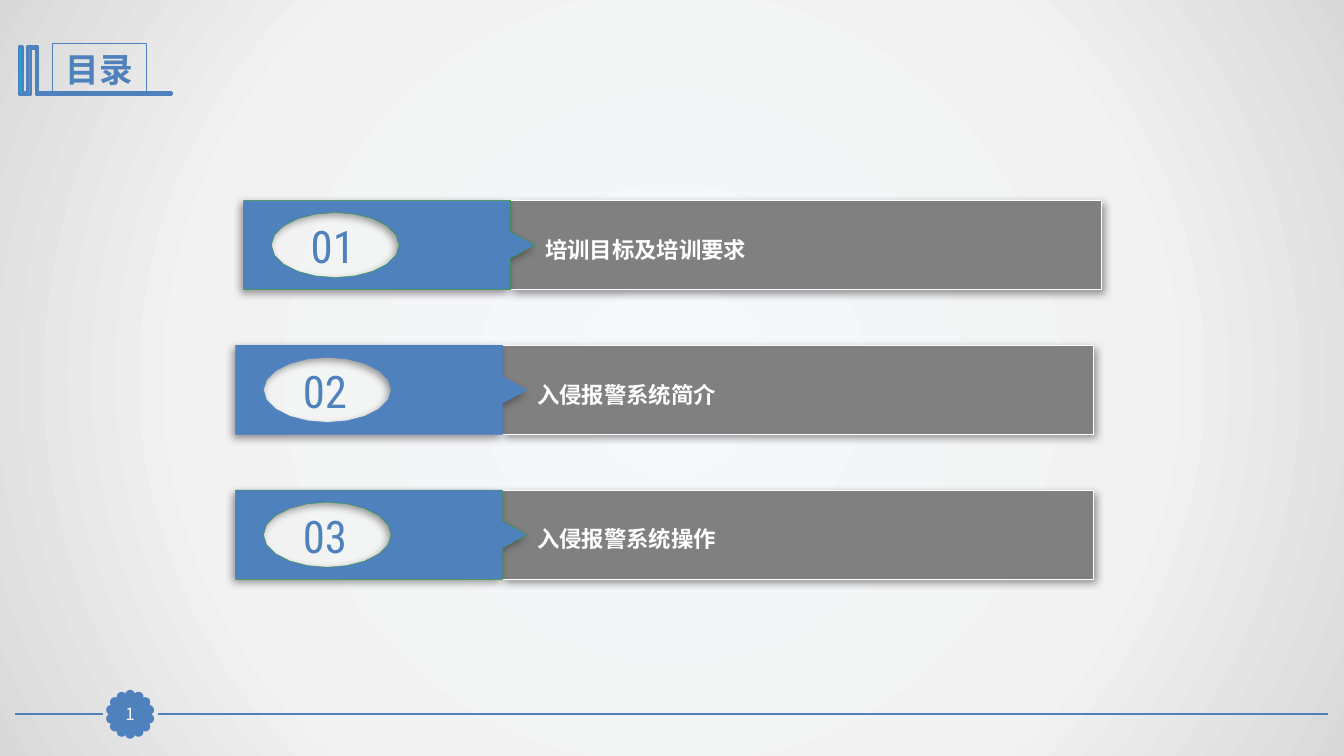
from dataclasses import dataclass
from math import cos, pi, sin

from lxml.etree import SubElement
from pptx import Presentation
from pptx.dml.color import RGBColor
from pptx.enum.shapes import MSO_CONNECTOR as Connector, MSO_SHAPE as Preset
from pptx.enum.text import MSO_ANCHOR as Anchor, PP_ALIGN as Align
from pptx.oxml.ns import qn
from pptx.util import Cm, Pt


@dataclass(frozen=True)
class Theme:
    blue: str = "4F81BD"
    cyan: str = "28A9D6"
    green: str = "339933"
    gray: str = "808080"
    white: str = "FFFFFF"
    shadow: str = "000000"
    backdrop: tuple = ((0, "F6F9FC"), (63, "F2F2F2"), (100, "D9D9D9"))
    number_font: str = "Roboto Condensed"
    caption_font: str = "Roboto"
    page_font: str = "Noto Sans CJK SC"
    number_size: int = 32
    title_size: int = 24
    caption_size: int = 16
    page_size: int = 12


THEME = Theme()


def rgb(color):
    return RGBColor.from_string(color)


def paint(shape, fill, line, weight):
    if fill:
        shape.fill.solid()
        shape.fill.fore_color.rgb = rgb(fill)
    else:
        shape.fill.background()
    shape.line.color.rgb = rgb(line)
    shape.line.width = Pt(weight)
    shape.shadow.inherit = False
    return shape


def drop_shadow(shape, angle):
    effects = shape._element.spPr.find(qn("a:effectLst"))
    outer = SubElement(effects, qn("a:outerShdw"), blurRad=str(Pt(6)), dist=str(Pt(3)),
                       dir=str(angle * 60000), algn="ctr", rotWithShape="0")
    color = SubElement(outer, qn("a:srgbClr"), val=THEME.shadow)
    SubElement(color, qn("a:alpha"), val="40000")


def write(shape, text, font, size, color, bold=False, align=Align.CENTER, inset=None):
    frame = shape.text_frame
    frame.text = text
    frame.word_wrap = True
    frame.vertical_anchor = Anchor.MIDDLE
    if inset is not None:
        frame.margin_left = frame.margin_right = Cm(inset)
        frame.margin_top = frame.margin_bottom = Cm(inset)
    paragraph = frame.paragraphs[0]
    paragraph.alignment = align
    style = paragraph.runs[0].font
    style.name, style.size, style.bold = font, Pt(size), bold
    style.color.rgb = rgb(color)


def add_outline(shapes, left, top, *contours):
    """Draw closed contours, given in cm from left and top, as one freeform."""
    placed = [[(Cm(left + x), Cm(top + y)) for x, y in contour] for contour in contours]
    first, *others = placed
    builder = shapes.build_freeform(*first[0])
    builder.add_line_segments(first[1:])
    for contour in others:
        builder.move_to(*contour[0])
        builder.add_line_segments(contour[1:])
    return builder.convert_to_shape()


def add_backdrop(slide):
    slide.background.fill.gradient()
    gradient = slide.element.xpath(".//a:gradFill")[0]
    for part in list(gradient):
        gradient.remove(part)
    stops = SubElement(gradient, qn("a:gsLst"))
    for position, color in THEME.backdrop:
        stop = SubElement(stops, qn("a:gs"), pos=str(position * 1000))
        SubElement(stop, qn("a:srgbClr"), val=color)
    circle = SubElement(gradient, qn("a:path"), path="circle")
    SubElement(circle, qn("a:fillToRect"), l="50000", t="50000", r="50000", b="50000")


def add_header(slide, left, top, title):
    # Folded ribbon running on into the underline
    ribbon = [(0.46, 0), (0.48, 0), (0.48, 1.17), (3.85, 1.17), (3.85, 1.21), (0.43, 1.21),
              (0.43, 0.05), (0.3, 0.05), (0.3, 1.21), (0, 1.21), (0, 0), (0.08, 0),
              (0.08, 1.15), (0.22, 1.15), (0.22, 0)]
    paint(add_outline(slide.shapes, left, top, ribbon), THEME.cyan, THEME.blue, 2)
    # Framed title
    frame = slide.shapes.add_shape(Preset.RECTANGLE, Cm(left + 0.84), Cm(top - 0.08),
                                   Cm(2.38), Cm(1.29))
    paint(frame, None, THEME.blue, 0.75)
    write(frame, title, THEME.number_font, THEME.title_size, THEME.blue, bold=True)


def add_agenda_row(slide, left, top, number, caption, edge):
    shapes = slide.shapes.add_group_shape().shapes
    height = 2.25
    # Gray bar
    bar = shapes.add_shape(Preset.RECTANGLE, Cm(left + 6.69), Cm(top), Cm(14.92), Cm(height))
    drop_shadow(paint(bar, THEME.gray, THEME.white, 0.25), 45)
    # Blue tab with a pointer and an oval window
    turns = [2 * pi * step / 20 for step in range(20)]
    window = [(2.31 + 1.61 * cos(turn), height / 2 + 0.82 * sin(turn)) for turn in turns]
    tab = [(0, 0), (6.73, 0), (6.73, 0.79), (7.35, height / 2), (6.73, 1.46),
           (6.73, height), (0, height)]
    drop_shadow(paint(add_outline(shapes, left, top, window, tab), THEME.blue, edge, 0.25), 135)
    # Number and caption
    label = shapes.add_textbox(Cm(left + 1), Cm(top + 0.34), Cm(2.5), Cm(1.62))
    write(label, number, THEME.number_font, THEME.number_size, THEME.blue)
    words = shapes.add_textbox(Cm(left + 7.35), Cm(top + 0.76), Cm(14.25), Cm(0.94))
    write(words, caption, THEME.caption_font, THEME.caption_size, THEME.white,
          bold=True, align=Align.LEFT)


def add_footer(slide, left, right, middle, page):
    # Rule, open around the badge
    for start, end in ((left, left + 2.2), (left + 3.58, right)):
        rule = slide.shapes.add_connector(Connector.STRAIGHT, Cm(start), Cm(middle),
                                          Cm(end), Cm(middle))
        rule.line.color.rgb = rgb(THEME.blue)
        rule.line.width = Pt(1.25)
        SubElement(rule._element.spPr, qn("a:effectLst"))
    # Scalloped badge
    center, radius, dot, petals = left + 2.89, 0.49, 0.18, 14
    badge = slide.shapes.add_group_shape().shapes
    for petal in range(petals):
        turn = 2 * pi * petal / petals
        x = center + radius * sin(turn) - dot / 2
        y = middle - radius * cos(turn) - dot / 2
        scallop = badge.add_shape(Preset.OVAL, Cm(x), Cm(y), Cm(dot), Cm(dot))
        paint(scallop, THEME.blue, THEME.blue, 2)
    # Page number
    core = slide.shapes.add_shape(Preset.RECTANGLE, Cm(center - 0.41), Cm(middle - 0.4),
                                  Cm(0.82), Cm(0.8))
    paint(core, THEME.blue, THEME.blue, 0.75)
    write(core, page, THEME.page_font, THEME.page_size, THEME.white, inset=0)


def main():
    deck = Presentation()
    deck.slide_width, deck.slide_height = Cm(33.87), Cm(19.05)
    slide = deck.slides.add_slide(deck.slide_layouts[6])
    add_backdrop(slide)
    add_footer(slide, 0.39, 33.48, 18, "1")
    add_header(slide, 0.48, 1.17, "目录")
    agenda = [(6.14, "培训目标及培训要求", THEME.green),
              (5.94, "入侵报警系统简介", THEME.blue),
              (5.94, "入侵报警系统操作", THEME.green)]
    for index, (left, caption, edge) in enumerate(agenda):
        add_agenda_row(slide, left, 5.05 + 3.65 * index, f"{index + 1:02}", caption, edge)
    deck.save("out.pptx")


if __name__ == "__main__":
    main()
